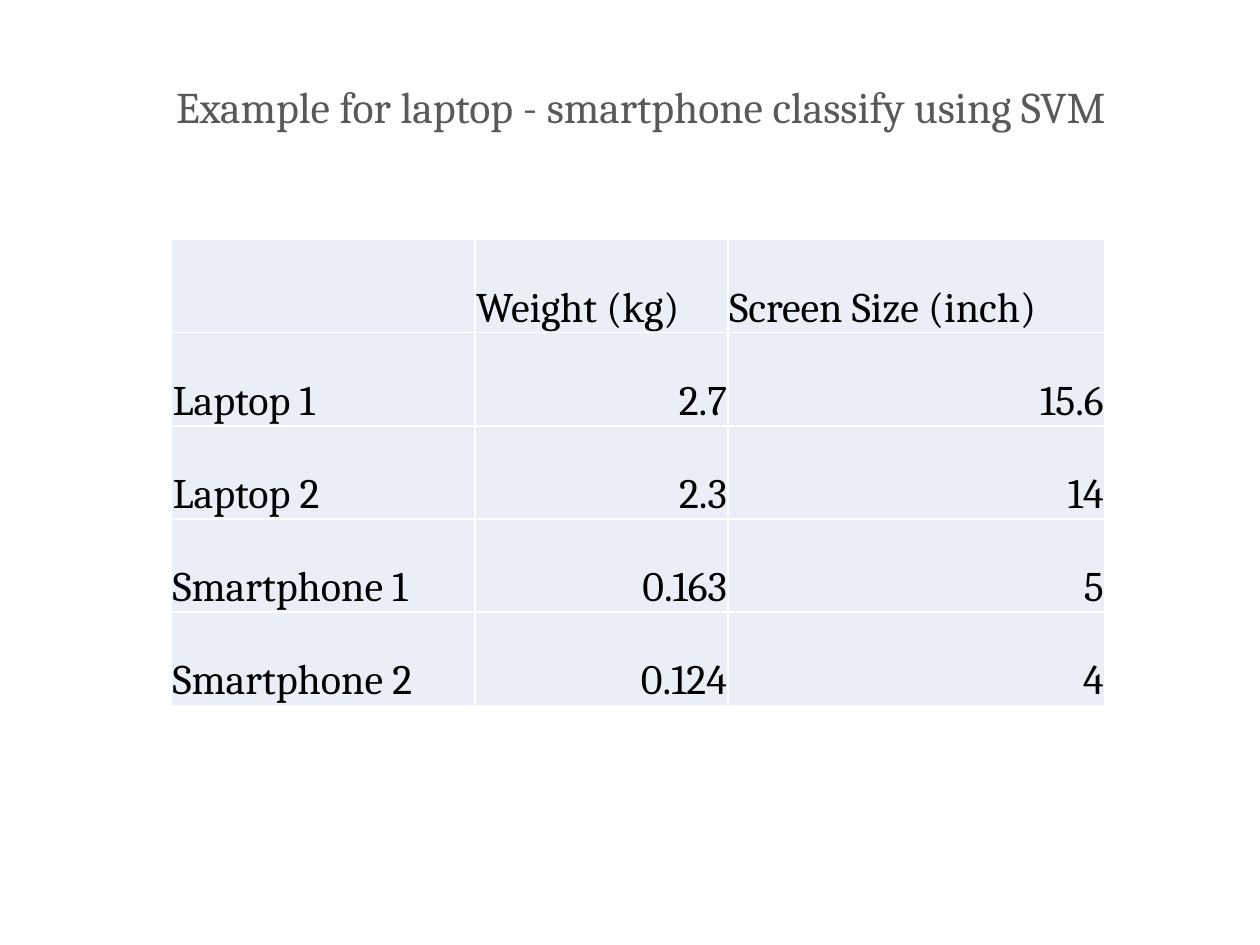
import pptx
import pptx.util
import pptx.dml.color
import pptx.enum.text
import pptx.oxml
import pptx.oxml.ns
from pptx.util import Inches

FONT = "Cambria"
ROWS = [
    ["", "Weight (kg)", "Screen Size (inch)"],
    ["Laptop 1", "2.7", "15.6"],
    ["Laptop 2", "2.3", "14"],
    ["Smartphone 1", "0.163", "5"],
    ["Smartphone 2", "0.124", "4"],
]
COL_WIDTHS = [2.41, 2.01, 2.99]
ROW_HEIGHT = 0.74


def rgb(color):
    return pptx.dml.color.RGBColor.from_string(color)


def format_text(tf, size, color, align):
    p = tf.paragraphs[0]
    p.alignment = align
    for r in p.runs:
        r.font.name = FONT
        r.font.size = pptx.util.Pt(size)
        r.font.bold = False
        r.font.color.rgb = rgb(color)


def add_title(s, text):
    sp = s.shapes.title
    sp.left, sp.top = Inches(1.13), Inches(0.58)
    sp.width, sp.height = Inches(7.91), Inches(0.52)
    tf = sp.text_frame
    tf.text = text
    tf.word_wrap = True
    tf.auto_size = pptx.enum.text.MSO_AUTO_SIZE.NONE
    tf.vertical_anchor = pptx.enum.text.MSO_ANCHOR.TOP
    format_text(tf, 25, "595959", pptx.enum.text.PP_ALIGN.CENTER)


def add_borders(cell, color, width):
    tc_pr = cell._tc.get_or_add_tcPr()
    for i, side in enumerate(("lnL", "lnR", "lnT", "lnB")):
        # Borders come before the fill in the cell properties
        tc_pr.insert(i, pptx.oxml.parse_xml(
            f'<a:{side} {pptx.oxml.ns.nsdecls("a")} w="{pptx.util.Pt(width)}">'
            f'<a:solidFill><a:srgbClr val="{color}"/></a:solidFill></a:{side}>'))


def fill_cell(cell, text, align):
    cell.text = text
    cell.vertical_anchor = pptx.enum.text.MSO_ANCHOR.BOTTOM
    cell.margin_left = cell.margin_right = cell.margin_top = Inches(0.01)
    cell.margin_bottom = 0
    cell.fill.solid()
    cell.fill.fore_color.rgb = rgb("EAEFF7")
    add_borders(cell, "FFFFFF", 1)
    format_text(cell.text_frame, 24, "000000", align)


def add_device_table(s):
    table = s.shapes.add_table(
        len(ROWS), len(COL_WIDTHS), Inches(1.36), Inches(1.9),
        Inches(sum(COL_WIDTHS)), Inches(ROW_HEIGHT * len(ROWS))).table
    for column, width in zip(table.columns, COL_WIDTHS):
        column.width = Inches(width)
    for i, values in enumerate(ROWS):
        table.rows[i].height = Inches(ROW_HEIGHT)
        for j, value in enumerate(values):
            # Numbers are right-aligned, headings and names left-aligned
            is_number = i > 0 and j > 0
            align = (pptx.enum.text.PP_ALIGN.RIGHT if is_number
                     else pptx.enum.text.PP_ALIGN.LEFT)
            fill_cell(table.cell(i, j), value, align)


def main():
    prs = pptx.Presentation()
    prs.slide_width, prs.slide_height = Inches(10), Inches(7.5)
    s = prs.slides.add_slide(prs.slide_layouts[5])
    add_title(s, "Example for laptop - smartphone classify using SVM")
    add_device_table(s)
    prs.save("out.pptx")


if __name__ == "__main__":
    main()
